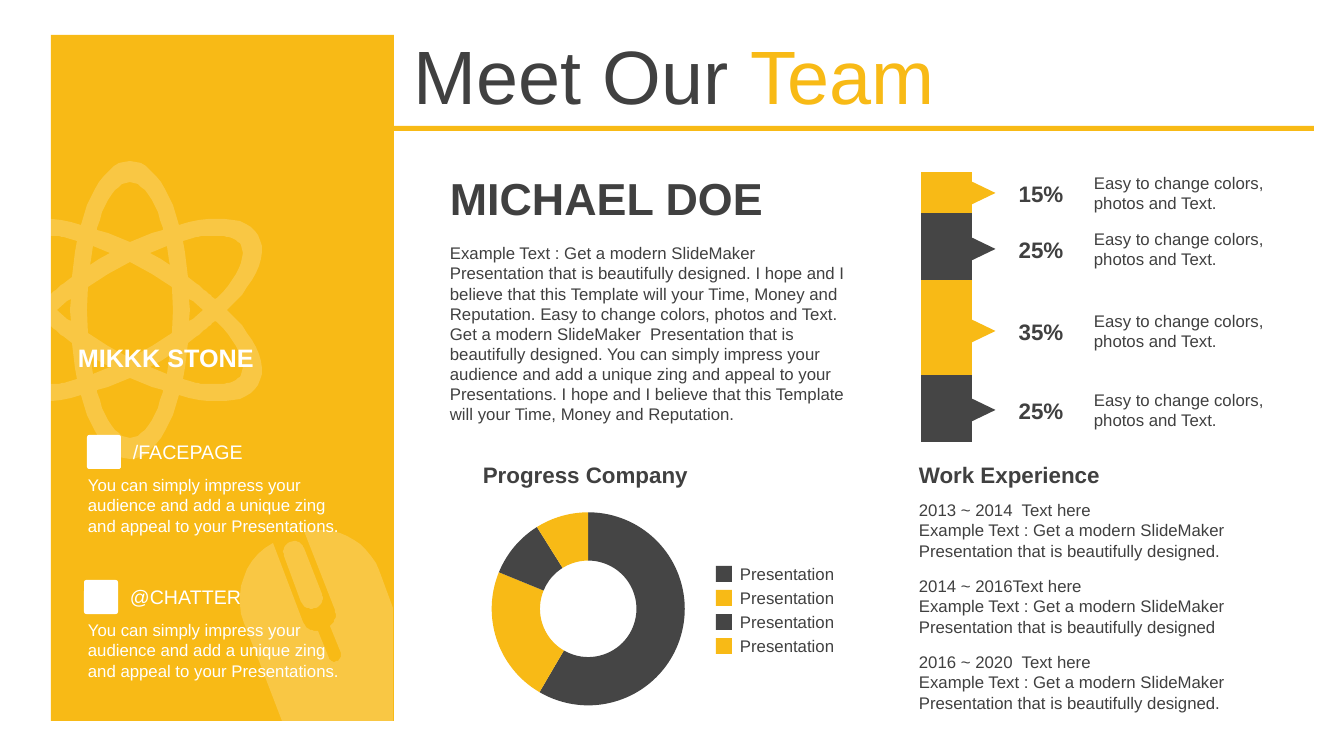
from lxml import etree
from pptx import Presentation
from pptx.chart.data import CategoryChartData
from pptx.dml.color import RGBColor
from pptx.enum.chart import XL_CHART_TYPE
from pptx.enum.shapes import MSO_SHAPE
from pptx.enum.text import MSO_ANCHOR, PP_ALIGN
from pptx.oxml import parse_xml
from pptx.oxml.ns import nsdecls, qn

PX = 12192000 / 1344
YELLOW = RGBColor(0xF8, 0xBA, 0x16)
CHARCOAL = RGBColor(0x45, 0x45, 0x45)
INK = RGBColor(0x40, 0x40, 0x40)
WHITE = RGBColor(0xFF, 0xFF, 0xFF)

deck = Presentation()
deck.slide_width, deck.slide_height = round(1344 * PX), round(756 * PX)
page = deck.slides.add_slide(deck.slide_layouts[6])


def write(text, left, top, width, height, size=12, color=INK, bold=False, anchor=MSO_ANCHOR.TOP):
    box = page.shapes.add_textbox(*[round(n * PX) for n in (left, top, width, height)])
    frame = box.text_frame
    frame.word_wrap = True
    frame.vertical_anchor = anchor
    frame.text = text
    for para in frame.paragraphs:
        for span in para.runs:
            span.font.name = "Arial"
            span.font.size = size * 12700
            span.font.bold = bold
            span.font.color.rgb = color
    return frame


def flatten(steps):
    """Turn points and six-number cubic curves into a list of points."""
    points = [steps[0]]
    for step in steps[1:]:
        if len(step) == 2:
            points.append(step)
            continue
        nodes = [points[-1], step[:2], step[2:4], step[4:]]
        for t in (n / 10 for n in range(1, 11)):
            weights = ((1 - t) ** 3, 3 * t * (1 - t) ** 2, 3 * t * t * (1 - t), t ** 3)
            points.append(tuple(sum(w * node[axis] for w, node in zip(weights, nodes))
                                for axis in (0, 1)))
    return points


# Side panel
panel_shapes = [(MSO_SHAPE.RECTANGLE, 51, 35, 343, 686, YELLOW, 0)]

# Atom: the upper right quarter, measured from the centre, mirrored both ways
rim = flatten([(0, -149), (19, -149, 35, -128, 46, -95), (49, -85), (59, -88),
               (93, -95, 119, -91, 128, -75), (138, -58, 128, -33, 105, -8), (97, 0)])
core = [(0, -48), (22, -36), (42, -23), (43, 0)]
tip = flatten([(0, -128), (13, -128, 25, -110, 33, -82), (33, -80), (22, -77), (0, -68)])
petal = flatten([(87, -74), (80, -75, 72, -74, 63, -72), (53, -69), (55, -58), (58, -33),
                 (67, -26), (73, -21, 79, -16, 84, -12), (85, -11), (87, -12),
                 (107, -33, 117, -52, 111, -65), (107, -71, 99, -74, 87, -74)])
gap = [(37, -64), (20, -57), (31, -51), (40, -45), (39, -50)]
side_gap = [(59, -11), (60, 0), (59, 11), (63, 9), (73, 0), (63, -9)]

atom = []
for quarter in (rim, core):
    right = quarter + [(x, -y) for x, y in reversed(quarter)]
    atom.append(right + [(-x, y) for x, y in reversed(right)])
for flip in (1, -1):
    atom.append([(x, flip * y) for x, y in tip + [(-x, y) for x, y in reversed(tip)]])
    atom.append([(flip * x, y) for x, y in side_gap])
    for mirror in (1, -1):
        for part in (petal, gap):
            atom.append([(flip * x, mirror * y) for x, y in part])
atom = [[(x + 130, y + 310) for x, y in contour] for contour in atom]

mouse = [
    flatten([(316, 530), (343, 528, 369, 544, 379, 570), (393, 608), (393, 721), (282, 721),
             (259, 661), (244, 623), (232, 593, 245, 558, 273, 543), (303, 622),
             (305, 628, 311, 631, 318, 631), (329, 658), (330, 661, 334, 663, 337, 661),
             (340, 660, 342, 656, 341, 653), (330, 626), (335, 622, 337, 616, 335, 610),
             (304, 531), (308, 530, 312, 530, 316, 530)]),
    flatten([(294, 541), (298, 541, 302, 544, 304, 548), (322, 594),
             (324, 599, 322, 606, 316, 608), (310, 610, 303, 607, 301, 602), (284, 556),
             (282, 550, 284, 544, 290, 542)]),
]

# Stacked column and doughnut
stack_data = CategoryChartData()
stack_data.categories = ["1"]
for number, value in enumerate((71, 100, 71, 43), 1):
    stack_data.add_series(f"Series {number}", [value])
share_data = CategoryChartData()
share_data.categories = ["1", "2", "3", "4"]
share_data.add_series("Series 1", [59, 23, 10, 9])

charts = []
for kind, data, place, layout in (
        (XL_CHART_TYPE.DOUGHNUT, share_data, (467, 499, 245, 222), (0.1, 0.06, 0.79, 0.87)),
        (XL_CHART_TYPE.COLUMN_STACKED, stack_data, (870, 107, 151, 342), (0.05, 0.03, 0.91, 0.95))):
    chart = page.shapes.add_chart(kind, *[round(n * PX) for n in place], data).chart
    chart.has_legend = chart.has_title = False
    chart.font.name = "Arial"
    chart.font.size = 18 * 12700
    area = chart.plots[0]._element.getparent()
    for old in area.findall(qn("c:layout")):
        area.remove(old)
    sizes = "".join(f'<c:{tag} val="{n}"/>' for tag, n in zip("xywh", layout))
    area.insert(0, parse_xml(
        f'<c:layout {nsdecls("c")}><c:manualLayout><c:layoutTarget val="inner"/>'
        f'<c:xMode val="edge"/><c:yMode val="edge"/>{sizes}</c:manualLayout></c:layout>'))
    charts.append(chart)
doughnut, column = charts
column.plots[0].gap_width = 170
column.plots[0].overlap = 100
column.plots[0].vary_by_categories = False
column.value_axis.minimum_scale = 0
column.value_axis.maximum_scale = 343
column.value_axis.has_major_gridlines = False
column.value_axis.visible = column.category_axis.visible = False
for index in range(4):
    color = (CHARCOAL, YELLOW)[index % 2]
    for part in (doughnut.plots[0].series[0].points[index], column.plots[0].series[index]):
        part.format.fill.solid()
        part.format.fill.fore_color.rgb = color

# Preset shapes and the labels that go with them
panel_shapes.append((MSO_SHAPE.RECTANGLE, 373, 126, 941, 5, YELLOW, 0))
for index in range(4):
    color = (CHARCOAL, YELLOW)[index % 2]
    top = 566 + 24 * index
    panel_shapes.append((MSO_SHAPE.RECTANGLE, 716, top, 16, 16, color, 0))
    legend = write("Presentation", 740, top - 7, 115, 30)
    legend.margin_left = legend.margin_right = 0

for index, (middle, percent) in enumerate(((193, "15%"), (249, "25%"), (331, "35%"), (410, "25%"))):
    color = (YELLOW, CHARCOAL)[index % 2]
    panel_shapes.append((MSO_SHAPE.ISOSCELES_TRIANGLE, 970, middle - 13, 25, 26, color, 90))
    label = write(percent, 996, middle - 18, 90, 37, 16, bold=True)
    label.paragraphs[0].alignment = PP_ALIGN.CENTER
    write("Easy to change colors, photos and Text.", 1084, middle - 25, 207, 50)

contacts = ((435, 87, "/FACEPAGE"), (580, 84, "@CHATTER"))
for top, left, name in contacts:
    panel_shapes.append((MSO_SHAPE.ROUNDED_RECTANGLE, left, top, 34, 34, WHITE, 0))

for index, (kind, left, top, width, height, color, turn) in enumerate(panel_shapes):
    shape = page.shapes.add_shape(kind, *[round(n * PX) for n in (left, top, width, height)])
    shape.shadow.inherit = False
    shape.fill.solid()
    shape.fill.fore_color.rgb = color
    shape.line.fill.background()
    shape.rotation = turn
    if kind == MSO_SHAPE.ROUNDED_RECTANGLE:
        shape.adjustments[0] = 0.07
    if index == 0:
        page.shapes._spTree.insert(2, shape._element)

for contours in (atom, mouse):
    builder = page.shapes.build_freeform(*contours[0][0], scale=PX)
    builder.add_line_segments(contours[0][1:], close=True)
    for contour in contours[1:]:
        builder.move_to(*contour[0])
        builder.add_line_segments(contour[1:], close=True)
    drawing = builder.convert_to_shape()
    drawing.shadow.inherit = False
    drawing.fill.solid()
    drawing.fill.fore_color.rgb = WHITE
    drawing.line.fill.background()
    tint = drawing._element.spPr.find(qn("a:solidFill"))[0]
    etree.SubElement(tint, qn("a:alpha")).set("val", "20000")

# Text
title = write("Meet Our ", 404, 24, 915, 102, 54)
team = title.paragraphs[0].add_run()
team.text = "Team"
team.font.name = "Arial"
team.font.size = 54 * 12700
team.font.color.rgb = YELLOW

write("MIKKK STONE", 68, 337, 220, 40, 18, WHITE, True)
for top, left, name in contacts:
    write(name, left + 36, top, 135, 34, 14, WHITE, anchor=MSO_ANCHOR.MIDDLE)
    write("You can simply impress your audience and add a unique zing and appeal to your "
          "Presentations.", 78, top + 35, 283, 72, color=WHITE)

heading = write("MICHAEL DOE", 440, 178, 429, 47, 32, bold=True, anchor=MSO_ANCHOR.MIDDLE)
progress = write("Progress Company", 473, 459, 265, 31, 16, bold=True)
for frame in (heading, progress):
    frame.paragraphs[0].line_spacing = 0.9
write("Example Text : Get a modern SlideMaker  Presentation that is beautifully designed. "
      "I hope and I believe that this Template will your Time, Money and Reputation. "
      "Easy to change colors, photos and Text. Get a modern SlideMaker  Presentation that is "
      "beautifully designed. You can simply impress your audience and add a unique zing and "
      "appeal to your Presentations. I hope and I believe that this Template will your Time, "
      "Money and Reputation.", 440, 238, 423, 194)

write("Work Experience", 909, 459, 254, 31, 16, bold=True, anchor=MSO_ANCHOR.MIDDLE)
for index, (period, ending) in enumerate((
        ("2013 ~ 2014  Text here", "."), ("2014 ~ 2016Text here", ""), ("2016 ~ 2020  Text here", "."))):
    write(f"{period}\nExample Text : Get a modern SlideMaker  Presentation that is beautifully "
          f"designed{ending}", 909, 495 + 76 * index, 395, 72)

deck.save("out.pptx")
